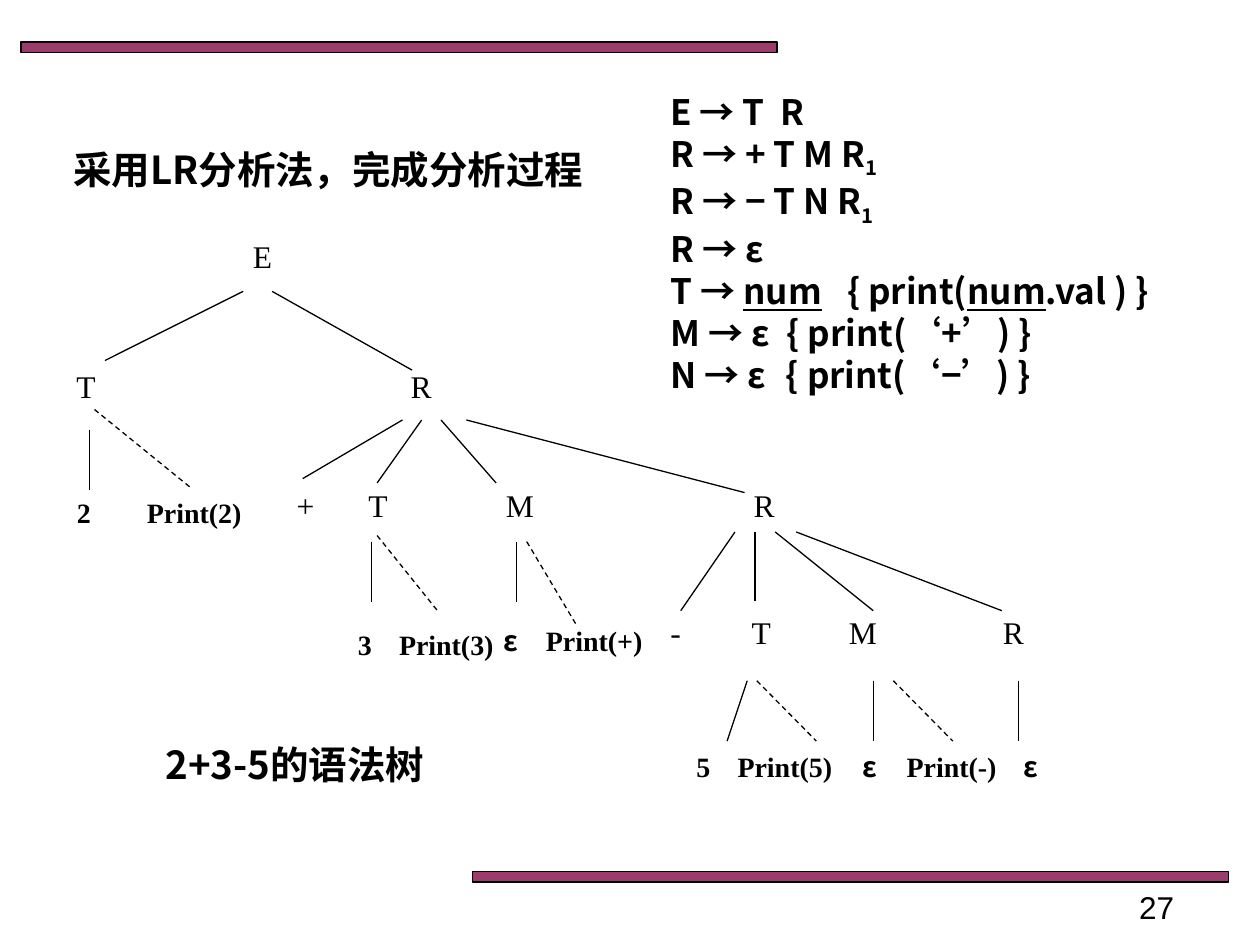
from lxml import etree
from pptx import Presentation
from pptx import util as u
from pptx.dml.color import RGBColor
from pptx.enum import dml, shapes, text
from pptx.oxml.ns import qn

BLACK = RGBColor(0x00, 0x00, 0x00)
PLUM = RGBColor(0x99, 0x33, 0x66)
HAN, SERIF, SANS = "Noto Sans CJK SC", "Times New Roman", "Arial"
LEFT, CENTER, RIGHT = text.PP_ALIGN.LEFT, text.PP_ALIGN.CENTER, text.PP_ALIGN.RIGHT
INSET = 7.2

# Content: places are left, top, width, height in points
BARS = [(12, 24, 432, 6), (270, 498, 432, 6)]

# Headings: place, left inset, wording
HEADINGS = [
    ((-12, 80, 363, 34), 43.2, "采用LR分析法，完成分析过程"),
    ((-18, 420, 302, 34), 78, "2+3-5的语法树"),
]

# Grammar: runs with an optional style, tab stops
GRAMMAR_PLACE = (376, 48, 319, 177)
GRAMMAR = [
    ([("E → T\tR", "")], [63]),
    ([("R → + T M R", ""), ("1", "sub")], []),
    ([("R → − T N R", ""), ("1", "sub")], []),
    ([("R → ε", "")], []),
    ([("T → ", ""), ("num", "underline"), ("\t{ print(", ""),
      ("num", "underline"), (".val ) }", "")], [101]),
    ([("M → ε\t{ print(‘+’) }", "")], [66.5]),
    ([("N → ε\t{ print(‘−’) }", "")], [66]),
]

# Inner nodes, one row per tree level: place, symbols, tab stops
NODE_ROWS = [
    ((133, 132, 34, 37), "E", []),
    ((36.5, 206, 300, 29), "T\tR", [191]),
    ((162.5, 274, 371.5, 29), "+\tT\tM\tR", [41, 119.5, 261]),
    ((376, 347, 278, 29), "-\tT\tM\tR", [46.5, 102, 190]),
]

# Leaves with their actions: place, left inset, runs, tab stops
LEAVES = [
    ((10, 279.5, 176, 27), 34, [("2\tPrint(2)", "")], [40]),
    ((155.5, 355, 176, 27), 49, [("3\tPrint(3)", "")], [23.5]),
    ((271, 353, 113, 27), 16.5, [("ε", "han"), ("\tPrint(+)", "")], [24.5]),
    ((380, 425, 114, 27), 18, [("5\tPrint(5)", "")], [23.5]),
    ((486, 425, 164, 27), INSET,
     [("ε", "han"), ("\tPrint(-)\t", ""), ("ε", "han")], [25, 92]),
]

# Branches: from x, y, to x, y
BRANCHES = [
    (139, 166.5, 60, 206), (155.5, 166.5, 235.5, 211.5),
    (230, 240, 173, 273.5), (241, 240, 215.5, 276),
    (252, 240, 283.5, 276), (266.5, 240, 425.5, 281.5),
    (420, 304, 389, 349), (431.5, 304, 431.5, 343.5),
    (443, 304, 499, 349), (455, 304, 572.5, 349),
    (51, 245.5, 51, 280), (212.5, 309.5, 212.5, 344), (295, 310, 295, 344),
    (427, 389, 415.5, 423.5), (499, 389, 499, 423.5), (582, 389, 582, 423.5),
]
ACTION_BRANCHES = [
    (54, 234, 110, 279.5), (215.5, 306, 250, 349), (301, 309.5, 329, 356.5),
    (432.5, 389, 466.5, 423.5), (510.5, 389, 544.5, 423.5),
]
PAGE_NUMBER = ((510, 504, 168, 19.5), "27")


def points(lengths):
    return [u.Pt(length) for length in lengths]


def set_east_asian(properties, face):
    etree.SubElement(properties, qn("a:ea")).set("typeface", face)


def add_text(slide, place, lines, face, size, bold=False, align=LEFT, inset=INSET):
    """Write lines, each a pair of styled runs and tab stops."""
    frame = slide.shapes.add_textbox(*points(place)).text_frame
    frame.word_wrap = True
    frame.margin_left = u.Pt(inset)
    for number, (runs, stops) in enumerate(lines):
        line = frame.add_paragraph() if number else frame.paragraphs[0]
        line.alignment = align
        properties = line._p.get_or_add_pPr()
        if stops:
            tabs = etree.SubElement(properties, qn("a:tabLst"))
            for stop in stops:
                etree.SubElement(tabs, qn("a:tab"), pos=str(u.Pt(stop)), algn="l")
        line.font.name, line.font.size, line.font.bold = face, u.Pt(size), bold
        line.font.color.rgb = BLACK
        set_east_asian(properties.find(qn("a:defRPr")), face)
        for words, style in runs:
            run = line.add_run()
            run.text = words
            if style == "underline":
                run.font.underline = True
            elif style == "sub":
                run._r.get_or_add_rPr().set("baseline", "-25000")
            elif style == "han":
                run.font.name = HAN
                set_east_asian(run._r.get_or_add_rPr(), HAN)


def add_bar(slide, place):
    bar = slide.shapes.add_shape(shapes.MSO_SHAPE.RECTANGLE, *points(place))
    bar.shadow.inherit = False
    bar.fill.solid()
    bar.fill.fore_color.rgb = PLUM
    color = bar._element.spPr.find(qn("a:solidFill"))[0]
    etree.SubElement(color, qn("a:alpha")).set("val", "96000")
    bar.line.color.rgb = BLACK
    bar.line.width = u.Pt(0.75)


def add_branch(slide, ends, dashed):
    branch = slide.shapes.add_connector(shapes.MSO_CONNECTOR.STRAIGHT, *points(ends))
    branch.line.color.rgb = BLACK
    branch.line.width = u.Pt(0.75)
    if dashed:
        branch.line.dash_style = dml.MSO_LINE.DASH
    etree.SubElement(branch._element.spPr, qn("a:effectLst"))


def main():
    deck = Presentation()
    deck.slide_width, deck.slide_height = points((720, 540))
    slide = deck.slides.add_slide(deck.slide_layouts[6])

    # Frame bars
    for place in BARS:
        add_bar(slide, place)

    # Headings and grammar
    for place, inset, words in HEADINGS:
        add_text(slide, place, [([(words, "")], [])], HAN, 22, True, CENTER, inset)
    add_text(slide, GRAMMAR_PLACE, GRAMMAR, HAN, 20, True)

    # Syntax tree
    for branches, dashed in ((BRANCHES, False), (ACTION_BRANCHES, True)):
        for ends in branches:
            add_branch(slide, ends, dashed)
    for place, symbols, stops in NODE_ROWS:
        align = LEFT if stops else CENTER
        add_text(slide, place, [([(symbols, "")], stops)], SERIF, 18, align=align)
    for place, inset, runs, stops in LEAVES:
        add_text(slide, place, [(runs, stops)], SERIF, 16, True, inset=inset)

    # Page number
    place, number = PAGE_NUMBER
    add_text(slide, place, [([(number, "")], [])], SANS, 18, align=RIGHT)

    deck.save("out.pptx")


if __name__ == "__main__":
    main()
